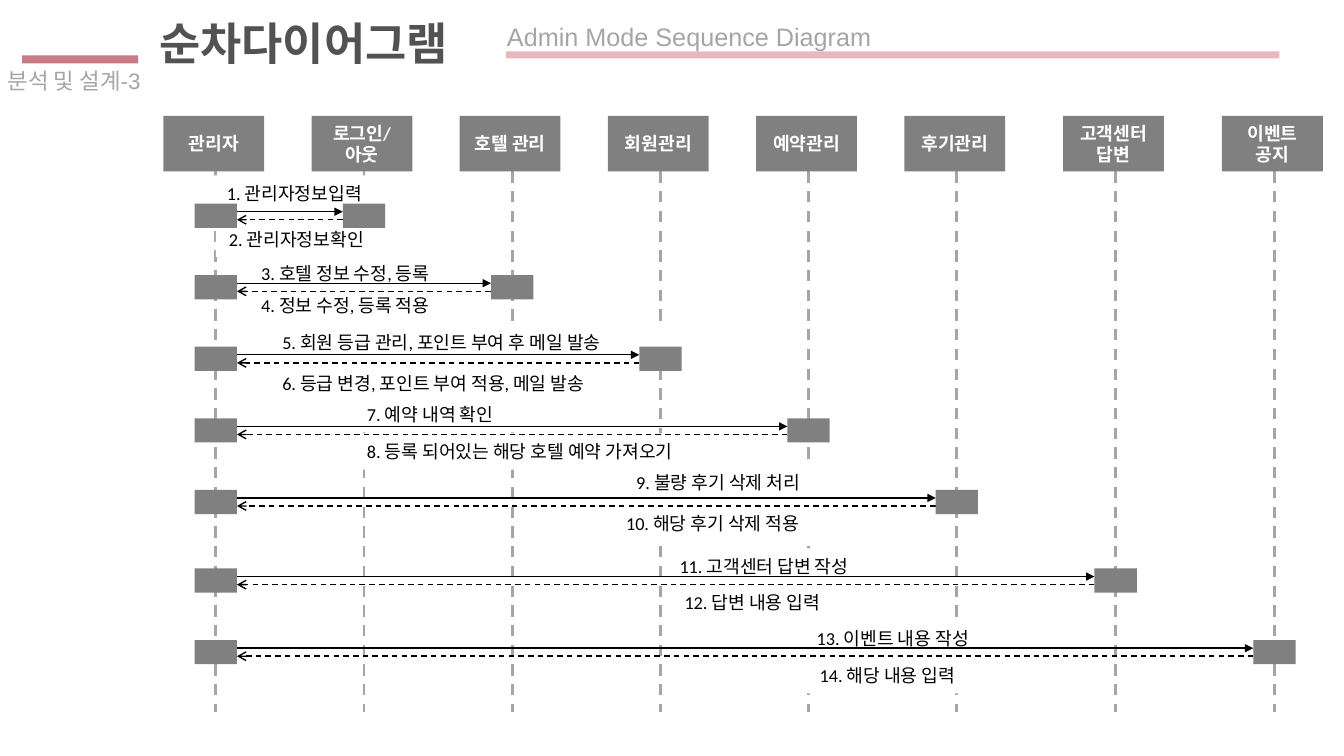
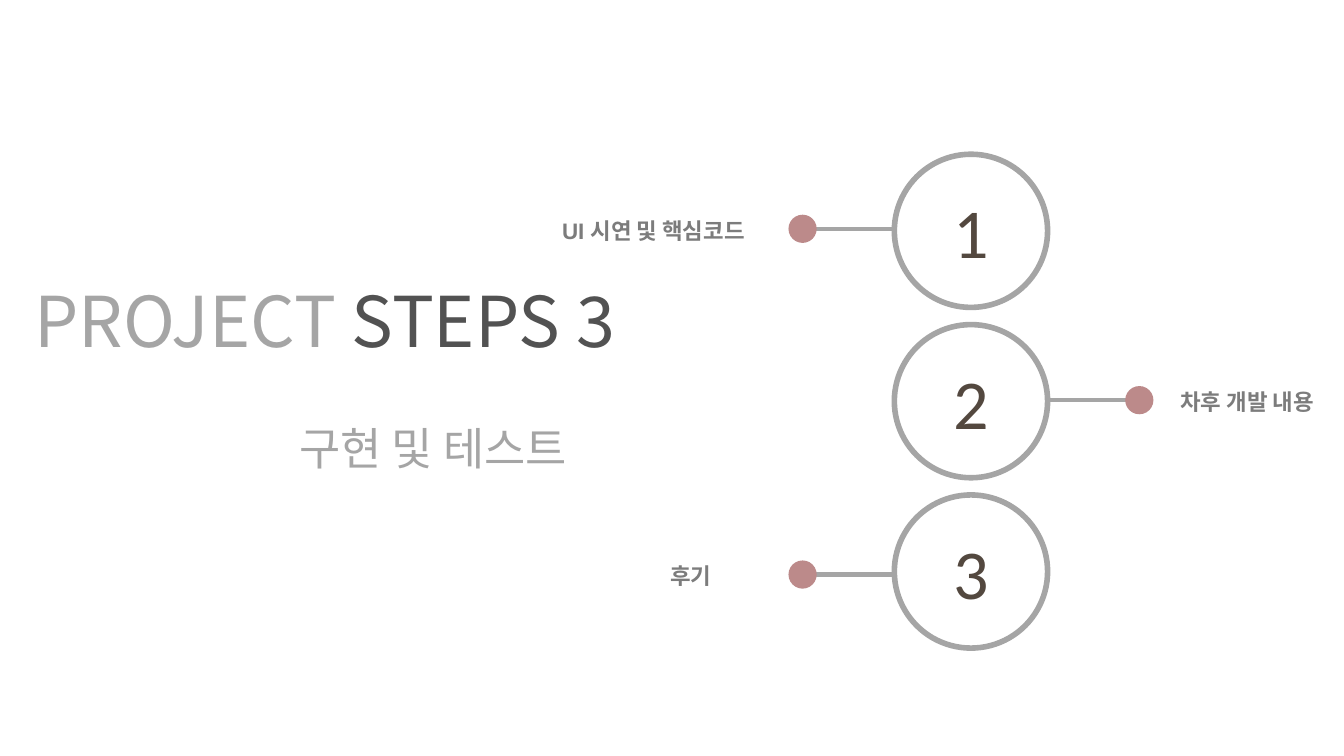
from dataclasses import dataclass

from lxml.etree import SubElement
from pptx import Presentation
from pptx.dml.color import RGBColor
from pptx.enum.dml import MSO_LINE_DASH_STYLE as DASH
from pptx.enum.shapes import MSO_CONNECTOR as CONNECTOR, MSO_SHAPE as SHAPE
from pptx.enum.text import MSO_ANCHOR as ANCHOR, MSO_AUTO_SIZE as FIT, PP_ALIGN as ALIGN
from pptx.oxml.ns import qn
from pptx.util import Inches, Pt


@dataclass(frozen=True)
class Theme:
    dark: str = "525252"
    grey: str = "A5A5A5"
    box: str = "808080"
    label: str = "7C7C7C"
    number: str = "53483F"
    rose: str = "CA7A85"
    pale_rose: str = "E9B8BC"
    dot: str = "BC8A8A"
    black: str = "000000"
    white: str = "FFFFFF"
    sans: str = "Arial"
    diagram: str = "Calibri"
    korean: str = "Noto Sans CJK KR"
    display_size: int = 50
    title_size: int = 32
    heading_size: int = 18
    label_size: int = 16
    diagram_size: int = 13


THEME = Theme()
SLIDE_WIDTH, SLIDE_HEIGHT = 13.33, 7.5
TITLE_ONLY, TITLE_SLIDE = 5, 0

FIRST_LIFELINE, COLUMN, WIDE_COLUMN = 2.14, 1.47, 1.575
REGULAR_COLUMNS = 5
FIRST_ROW, ROW, LATE_ROW_SHIFT = 2.02, 0.71, 0.07
HEADER_TOP, HEADER_WIDTH, HEADER_HEIGHT = 1.15, 1.0, 0.55
LIFELINE_BOTTOM = 7.06
ACTIVATION_WIDTH, ACTIVATION_HEIGHT = 0.42, 0.24
MESSAGE_HEIGHT = 0.36

PARTICIPANTS = ["관리자", "로그인/\n아웃", "호텔 관리", "회원관리", "예약관리",
                "후기관리", "고객센터\n답변", "이벤트\n공지"]
MESSAGES = [
    ("1. 관리자정보입력", 2.12, 1.74, 1.79),
    ("2. 관리자정보확인", 2.14, 2.19, 1.79),
    ("3. 호텔 정보 수정, 등록", 2.46, 2.53, 2.21),
    ("4. 정보 수정, 등록 적용", 2.46, 2.85, 2.21),
    ("5. 회원 등급 관리, 포인트 부여 후 메일 발송", 2.67, 3.22, 3.97),
    ("6. 등급 변경, 포인트 부여 적용, 메일 발송", 2.67, 3.62, 3.76),
    ("7. 예약 내역 확인", 3.51, 3.93, 1.73),
    ("8. 등록 되어있는 해당 호텔 예약 가져오기", 3.51, 4.3, 3.86),
    ("9. 불량 후기 삭제 처리", 6.18, 4.61, 2.17),
    ("10. 해당 후기 삭제 적용", 6.08, 5.01, 2.27),
    ("11. 고객센터 답변 작성", 6.61, 5.44, 2.21),
    ("12. 답변 내용 입력", 6.66, 5.8, 1.84),
    ("13. 이벤트 내용 작성", 7.97, 6.15, 2.02),
    ("14. 해당 내용 입력", 8.0, 6.52, 1.84),
]

RING_X, RING_MIDDLE, RING_PITCH, RING_SIZE = 9.63, 3.98, 1.69, 1.52
DOT_DISTANCE, DOT_SIZE = 1.67, 0.28
STEPS = [
    ("UI 시연 및 핵심코드", -1, 2.27, 6.48),
    ("차후 개발 내용", 1, 3.97, 12.37),
    ("후기", -1, 5.7, 6.85),
]


def lifeline_x(column):
    regular = min(column, REGULAR_COLUMNS)
    return FIRST_LIFELINE + regular * COLUMN + (column - regular) * WIDE_COLUMN


def row_top(row):
    return FIRST_ROW + row * ROW + (LATE_ROW_SHIFT if row > 4 else 0)


def rgb(color):
    return RGBColor.from_string(color)


def style_run(run, size, color, font, bold=False):
    run.font.size = Pt(size)
    run.font.name = font
    run.font.bold = bold
    run.font.color.rgb = rgb(color)
    east_asian = SubElement(run.font._element, qn("a:ea"))
    east_asian.set("typeface", THEME.korean)


def write(box, text, size, color, font, bold=False, align=ALIGN.LEFT,
          anchor=ANCHOR.TOP, wrap=True, margins=(0.1, 0.05)):
    frame = box.text_frame
    frame.text = text
    frame.word_wrap = wrap
    frame.auto_size = FIT.NONE
    frame.vertical_anchor = anchor
    frame.margin_left = frame.margin_right = Inches(margins[0])
    frame.margin_top = frame.margin_bottom = Inches(margins[1])
    for para in frame.paragraphs:
        para.alignment = align
        para.space_before = Pt(0)
        for run in para.runs:
            style_run(run, size, color, font, bold)
    return frame


def place(box, left, top, width, height):
    box.left, box.top = Inches(left), Inches(top)
    box.width, box.height = Inches(width), Inches(height)
    return box


def add_text(page, area, text, size, color, font, **options):
    box = page.shapes.add_textbox(*map(Inches, area))
    return write(box, text, size, color, font, **options)


def add_block(page, kind, area, fill, outline=None, outline_width=0):
    block = page.shapes.add_shape(kind, *map(Inches, area))
    block.shadow.inherit = False
    block.fill.solid()
    block.fill.fore_color.rgb = rgb(fill)
    if outline:
        block.line.color.rgb = rgb(outline)
        block.line.width = Pt(outline_width)
    else:
        block.line.fill.background()
    return block


def add_circle(page, x, y, size, fill, **outline):
    area = (x - size / 2, y - size / 2, size, size)
    return add_block(page, SHAPE.OVAL, area, fill, **outline)


def add_line(page, start, end, color, width, dashed=False, arrow=None):
    line = page.shapes.add_connector(CONNECTOR.STRAIGHT, *map(Inches, (*start, *end)))
    line.line.color.rgb = rgb(color)
    line.line.width = Pt(width)
    if dashed:
        line.line.dash_style = DASH.DASH
    if arrow:
        SubElement(line.line._get_or_add_ln(), qn("a:tailEnd")).set("type", arrow)
    SubElement(line._element.spPr, qn("a:effectLst"))


def add_page_header(page, title, section, heading):
    write(place(page.shapes.title, 1.48, 0.11, 7.7, 0.64), title,
          THEME.title_size, THEME.dark, THEME.sans, bold=True)
    add_block(page, SHAPE.RECTANGLE, (0.22, 0.55, 1.15, 0.08), THEME.rose)
    add_block(page, SHAPE.RECTANGLE, (5.02, 0.51, 7.67, 0.07), THEME.pale_rose)
    add_text(page, (4.93, 0.16, 4.05, 0.4), heading,
             THEME.heading_size, THEME.grey, THEME.sans, wrap=False)
    add_text(page, (-0.02, 0.62, 1.77, 0.37), section,
             THEME.label_size, THEME.grey, THEME.sans)


def add_participant(page, column, name):
    x = lifeline_x(column)
    add_line(page, (x, HEADER_TOP + HEADER_HEIGHT), (x, LIFELINE_BOTTOM),
             THEME.grey, 2, dashed=True)
    area = (x - 0.52, HEADER_TOP, HEADER_WIDTH, HEADER_HEIGHT)
    write(add_block(page, SHAPE.RECTANGLE, area, THEME.box), name,
          THEME.diagram_size, THEME.white, THEME.diagram, bold=True,
          align=ALIGN.CENTER, anchor=ANCHOR.MIDDLE, margins=(0, 0))


def add_message(page, text, left, top, width):
    block = add_block(page, SHAPE.RECTANGLE, (left, top, width, MESSAGE_HEIGHT), THEME.white)
    write(block, text, THEME.diagram_size, THEME.black, THEME.diagram,
          wrap=False, margins=(0.13, 0.07))


def add_exchange(page, row, column):
    top = row_top(row)
    caller, target = lifeline_x(0), lifeline_x(column)
    start, end = caller + ACTIVATION_WIDTH / 2, target - ACTIVATION_WIDTH / 2
    call_y, reply_y = top + ACTIVATION_HEIGHT / 3, top + ACTIVATION_HEIGHT * 2 / 3
    add_line(page, (start, call_y), (end, call_y), THEME.black, 1, arrow="triangle")
    add_line(page, (end, reply_y), (start, reply_y), THEME.black, 1,
             dashed=True, arrow="arrow")
    for x in (caller, target):
        area = (x - ACTIVATION_WIDTH / 2, top, ACTIVATION_WIDTH, ACTIVATION_HEIGHT)
        add_block(page, SHAPE.RECTANGLE, area, THEME.box)


def add_step(page, index, text, side, branch_y, label_x):
    ring_y = RING_MIDDLE + (index - 1) * RING_PITCH
    dot_x = RING_X + side * DOT_DISTANCE
    add_line(page, (RING_X + side * RING_SIZE / 2, branch_y), (dot_x, branch_y),
             THEME.grey, 3)
    ring = add_circle(page, RING_X, ring_y, RING_SIZE, THEME.white,
                      outline=THEME.grey, outline_width=4)
    write(ring, str(index + 1), THEME.display_size, THEME.number, THEME.diagram,
          align=ALIGN.CENTER, anchor=ANCHOR.MIDDLE, wrap=False)
    add_circle(page, dot_x, branch_y, DOT_SIZE, THEME.dot)
    label_width = min(2.21, 2 * (SLIDE_WIDTH - label_x))
    area = (label_x - label_width / 2, branch_y - 0.21, label_width, 0.41)
    frame = add_text(page, area, text, THEME.label_size, THEME.label, THEME.sans,
                     bold=True, align=ALIGN.CENTER)
    frame.paragraphs[0].line_spacing = Pt(22.2)


def build_sequence_page(deck):
    page = deck.slides.add_slide(deck.slide_layouts[TITLE_ONLY])
    add_page_header(page, "순차다이어그램", "분석 및 설계-3", "Admin Mode Sequence Diagram")
    for column, name in enumerate(PARTICIPANTS):
        add_participant(page, column, name)
    for message in MESSAGES:
        add_message(page, *message)
    for row in range(len(PARTICIPANTS) - 1):
        add_exchange(page, row, row + 1)


def build_steps_page(deck):
    page = deck.slides.add_slide(deck.slide_layouts[TITLE_SLIDE])
    title = place(page.shapes.title, 0.24, 2.7, 7.57, 0.94)
    frame = write(title, "PROJECT ", THEME.display_size, THEME.grey, THEME.korean)
    span = frame.paragraphs[0].add_run()
    span.text = "STEPS 3"
    style_run(span, THEME.display_size, THEME.dark, THEME.korean)
    write(place(page.placeholders[1], 2.87, 4.12, 3.2, 0.64), "구현 및 테스트",
          THEME.title_size, THEME.grey, THEME.korean)
    for index, step in enumerate(STEPS):
        add_step(page, index, *step)


def main():
    deck = Presentation()
    deck.slide_width, deck.slide_height = Inches(SLIDE_WIDTH), Inches(SLIDE_HEIGHT)
    build_sequence_page(deck)
    build_steps_page(deck)
    deck.save("out.pptx")


if __name__ == "__main__":
    main()
